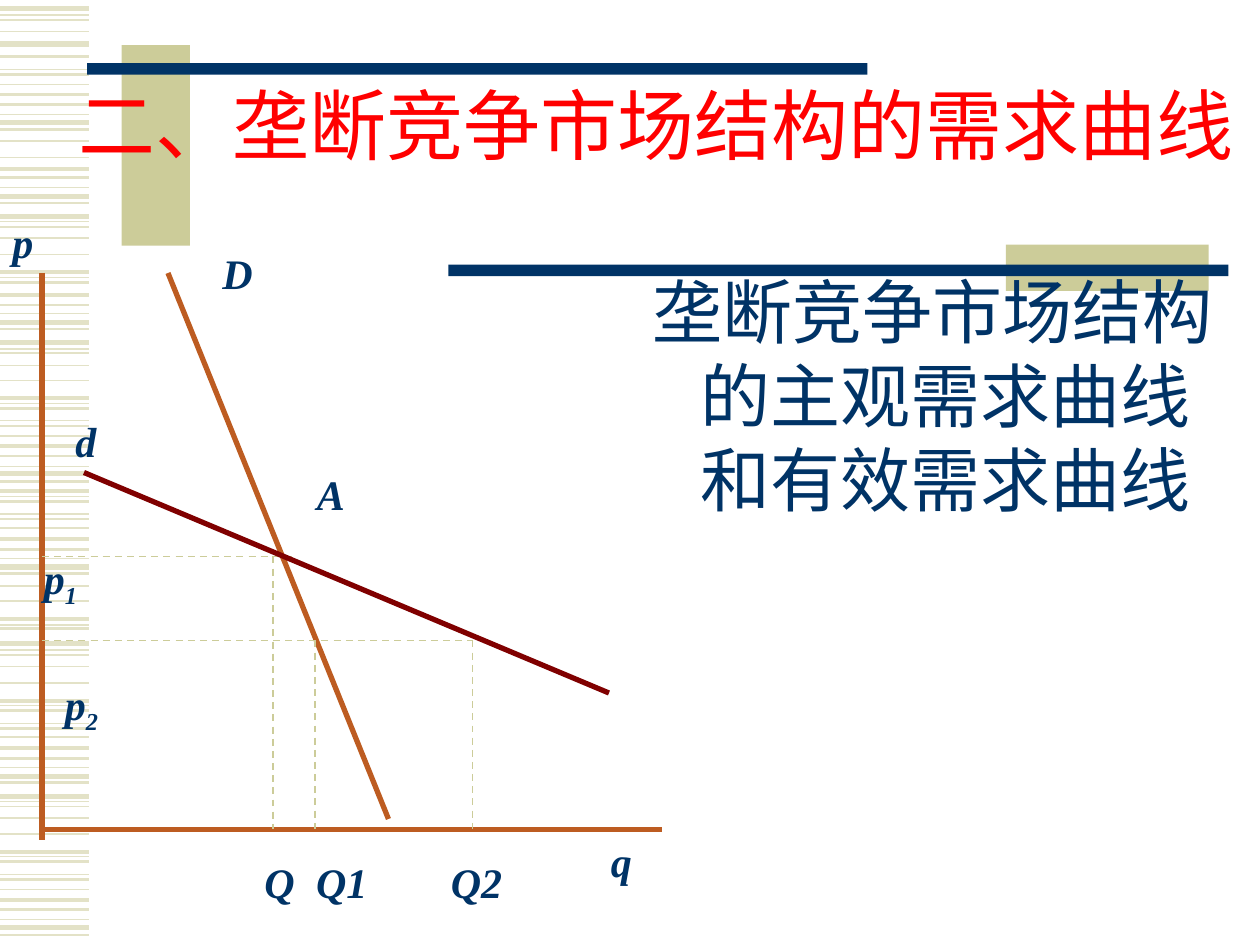
from lxml.etree import SubElement
from pptx import Presentation
from pptx.dml.color import RGBColor
from pptx.enum.dml import MSO_LINE
from pptx.enum.shapes import MSO_CONNECTOR, MSO_SHAPE
from pptx.enum.text import MSO_ANCHOR, MSO_AUTO_SIZE, PP_ALIGN
from pptx.oxml.ns import qn
from pptx.util import Inches, Pt

COLUMNS, ROWS = 120, 90
ROWS_PER_INCH = 12
NAVY, KHAKI, PALE = "003366", "CCCC99", "E3E2C7"
RUST, MAROON, RED = "BD5C21", "800000", "FF0000"

# Heights, in inches, of the side stripes of each line weight
STRIPES = {
    0.75: [0.12, 0.55, 0.91, 1.49, 1.76, 2.2, 2.49, 2.77, 3.2, 3.34, 3.7, 3.94, 4.08,
           4.43, 4.96, 5.16, 5.6, 5.74, 6.09, 6.36, 6.8, 6.94, 7.3],
    1: [0.16, 0.25, 0.67, 1.12, 1.25, 1.8, 1.89, 2.02, 2.8, 2.9, 3.02, 3.46, 4.19,
        4.65, 4.77, 5.2, 5.29, 5.42, 5.85, 6.4, 6.49, 6.62, 7.06],
    1.5: [0.45, 0.59, 0.83, 1.03, 1.41, 1.61, 2.24, 2.42, 2.61, 3.24, 3.38, 3.62, 3.82,
          3.98, 4.12, 4.36, 4.55, 4.99, 5.64, 5.78, 6.02, 6.21, 6.84, 6.98, 7.22, 7.42],
    2.25: [0.75, 1.34, 2.16, 2.34, 3.16, 3.54, 3.9, 4.28, 4.91, 5.56, 5.94, 6.76, 7.14],
    3: [0.07, 0.35, 0.97, 1.56, 1.72, 2.56, 2.72, 3.76, 4.5, 5.11, 6.16, 6.32, 7.36],
}


def rgb(code):
    return RGBColor.from_string(code)


def write(paragraph, text, size=24, color=NAVY, bold=False, italic=False, baseline=0):
    """Add a run; baseline is a percentage, negative for a subscript."""
    run = paragraph.add_run()
    run.text = text
    font = run.font
    font.name, font.size = "Times New Roman", Pt(size)
    font.bold, font.italic = bold, italic
    font.color.rgb = rgb(color)
    if baseline:
        run._r.get_or_add_rPr().set("baseline", str(baseline * 1000))


class Deck:
    """Draws on the current slide; all lengths are grid columns and rows."""

    def __init__(self):
        self.presentation = Presentation()
        self.presentation.slide_width = Inches(10)
        self.presentation.slide_height = Inches(7.5)
        self.column = self.presentation.slide_width / COLUMNS
        self.row = self.presentation.slide_height / ROWS
        self.slide = self.presentation.slides.add_slide(self.presentation.slide_layouts[6])

    def place(self, *lengths):
        """Turn alternating columns and rows into slide lengths."""
        return [round(length * (self.row if i % 2 else self.column))
                for i, length in enumerate(lengths)]

    def line(self, start, end, color=RUST, weight=3, dashed=False):
        connector = self.slide.shapes.add_connector(
            MSO_CONNECTOR.STRAIGHT, *self.place(*start, *end))
        connector.line.color.rgb = rgb(color)
        connector.line.width = Pt(weight)
        if dashed:
            connector.line.dash_style = MSO_LINE.DASH
        SubElement(connector._element.spPr, qn("a:effectLst"))

    def bar(self, box, color):
        bar = self.slide.shapes.add_shape(MSO_SHAPE.RECTANGLE, *self.place(*box))
        bar.shadow.inherit = False
        bar.fill.solid()
        bar.fill.fore_color.rgb = rgb(color)
        bar.line.fill.background()

    def text_box(self, box):
        """Add an empty wrapping text box and return its frame."""
        frame = self.slide.shapes.add_textbox(*self.place(*box)).text_frame
        frame.word_wrap = True
        return frame

    def title(self, box, text):
        frame = self.text_box(box)
        frame.vertical_anchor = MSO_ANCHOR.MIDDLE
        paragraph = frame.paragraphs[0]
        paragraph.alignment = PP_ALIGN.CENTER
        paragraph.line_spacing = 0.85
        write(paragraph, text, size=44, color=RED)

    def body(self, box, text):
        paragraph = self.text_box(box).paragraphs[0]
        properties = paragraph._p.get_or_add_pPr()
        properties.set("marL", str(Inches(0.38)))
        properties.set("indent", str(-Inches(0.38)))
        write(paragraph, text, size=40)

    def label(self, box, text, subscript="", tabs=()):
        """Add a bold italic label; tabs are stops in inches."""
        frame = self.text_box(box)
        frame.auto_size = MSO_AUTO_SIZE.SHAPE_TO_FIT_TEXT
        paragraph = frame.paragraphs[0]
        if tabs:
            stops = SubElement(paragraph._p.get_or_add_pPr(), qn("a:tabLst"))
            for stop in tabs:
                SubElement(stops, qn("a:tab"), pos=str(Inches(stop)), algn="l")
        write(paragraph, text, bold=True, italic=True)
        if subscript:
            write(paragraph, subscript, bold=True, italic=True, baseline=-25)


def draw_background(deck):
    for weight, heights in STRIPES.items():
        for height in heights:
            row = height * ROWS_PER_INCH
            deck.line((0, row), (8.5, row), PALE, weight)
    deck.bar((11.6, 4.3, 6.5, 19.1), KHAKI)
    deck.bar((8.3, 6, 74.3, 1.1), NAVY)
    deck.bar((95.8, 23.3, 19.3, 4.4), KHAKI)
    deck.bar((42.7, 25.2, 74.3, 1.1), NAVY)


def draw_demand_curves(deck):
    axis_column, axis_row = 4, 79
    first_price, second_price = 53, 61
    deck.line((axis_column, 26), (axis_column, 80))
    deck.line((axis_column, axis_row), (63, axis_row))
    deck.line((16, 26), (37, 78))

    for price, end in ((first_price, 28), (second_price, 45)):
        deck.line((axis_column, price), (end, price), KHAKI, 1, dashed=True)
    for quantity, price in ((26, first_price), (30, second_price), (45, second_price)):
        deck.line((quantity, price), (quantity, axis_row), KHAKI, 1, dashed=True)
    deck.line((8, 45), (58, 66), MAROON)

    deck.label((29, 44, 15, 6), "A")
    deck.label((0, 20, 12, 6), "p")
    deck.label((57, 79, 17, 6), "q")
    deck.label((20, 23, 10, 6), "D")
    deck.label((6, 39, 13, 6), "d")
    deck.label((3, 52, 9, 6.7), "p", subscript="1")
    deck.label((5, 64, 10, 6.7), "p", subscript="2")
    deck.label((24, 81, 28, 6), "Q\tQ1\tQ2", tabs=(0.41, 1.48))


def main():
    deck = Deck()
    draw_background(deck)
    deck.title((5, 5, 115, 15), "二、垄断竞争市场结构的需求曲线")
    deck.body((61, 25, 59, 54), "垄断竞争市场结构的主观需求曲线和有效需求曲线")
    draw_demand_curves(deck)
    deck.presentation.save("out.pptx")


if __name__ == "__main__":
    main()
